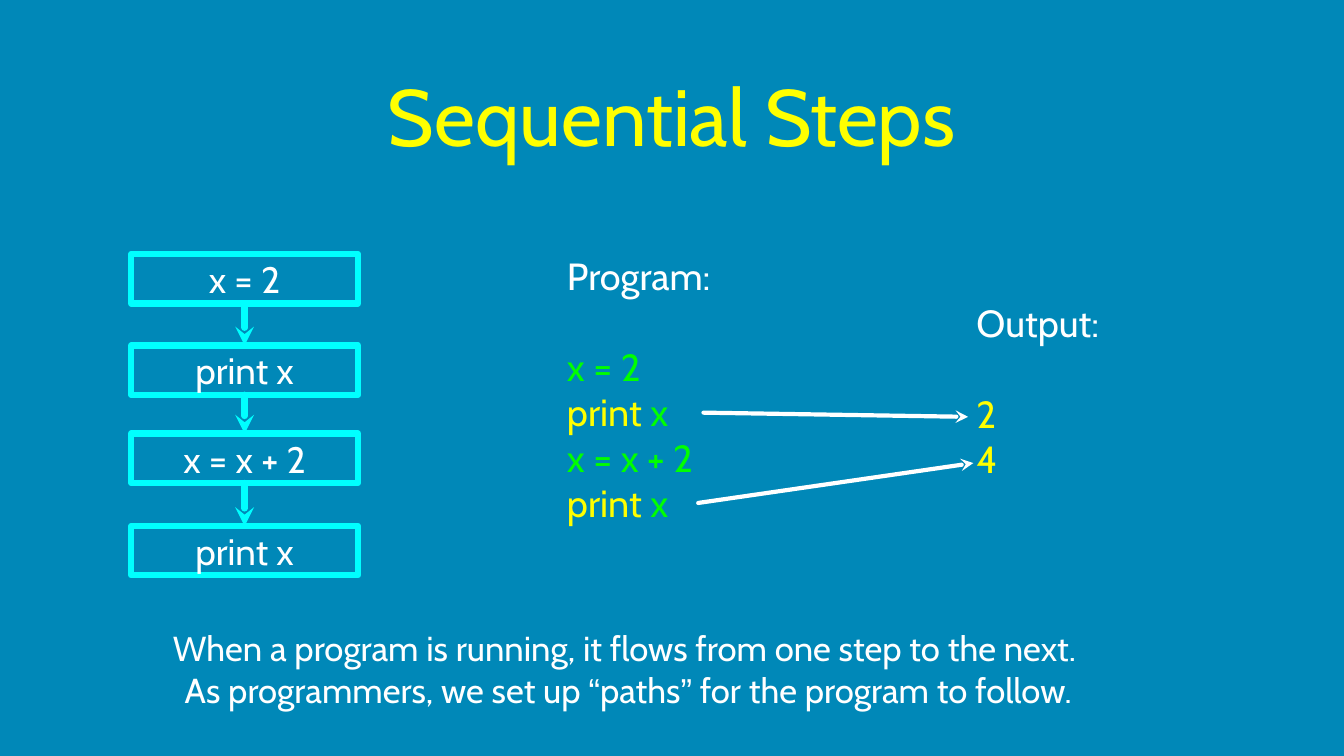
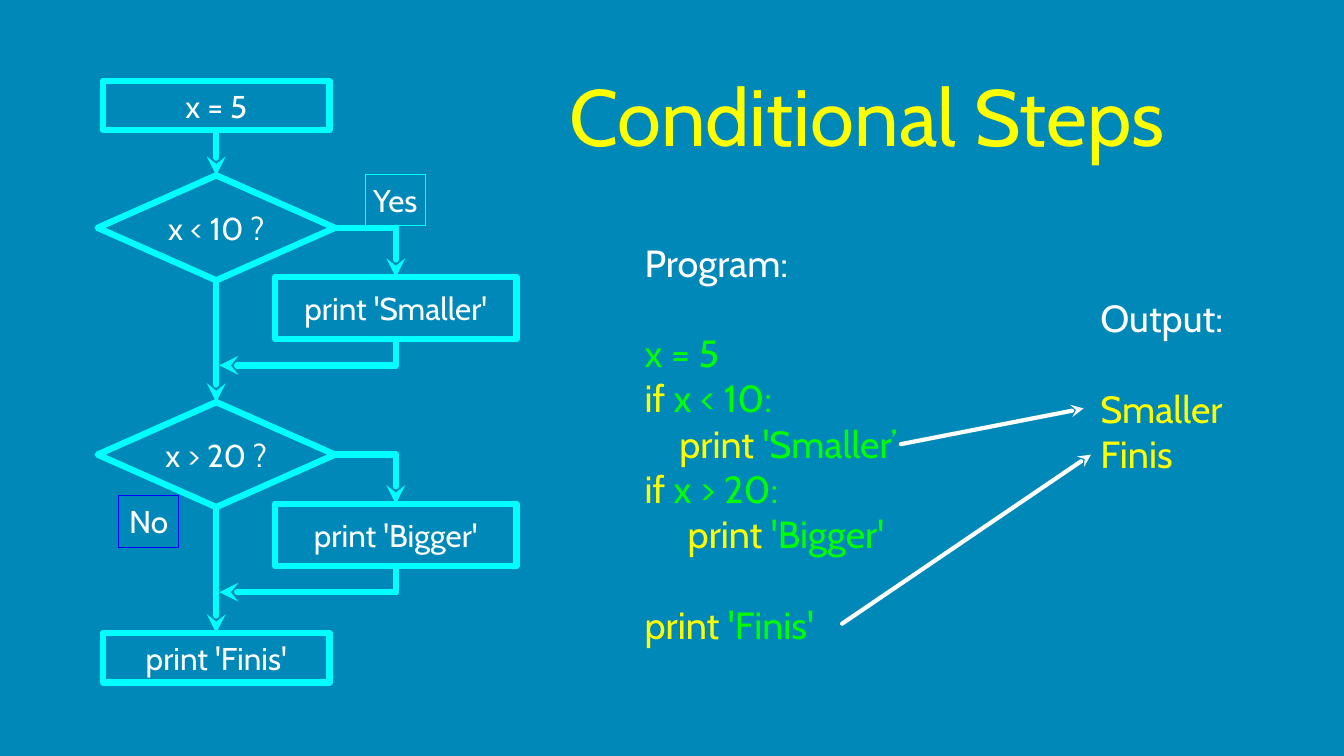
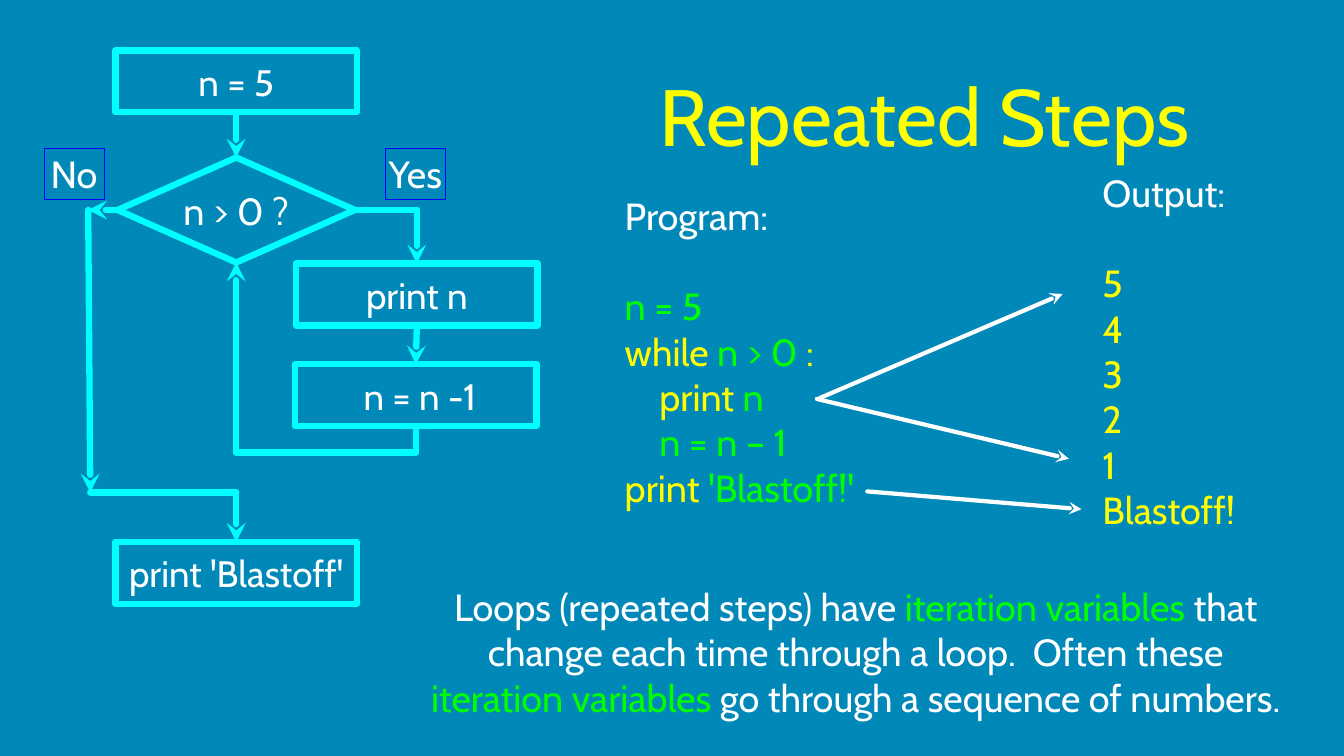
from itertools import pairwise

from lxml import etree
from pptx import Presentation
from pptx import util as u
from pptx.dml.color import RGBColor
from pptx.enum import shapes, text
from pptx.oxml import ns

BACK, CYAN, BLUE, WHITE = "0088B8", "00FFFF", "0000FF", "FFFFFF"
INK = {
    "W": (WHITE, "Cabin"),
    "Y": ("FFFF00", "Cabin"),
    "G": ("00FF00", "Cabin"),
    "Q": (WHITE, "Arial"),
}
TOP, LEFT, BOTTOM, RIGHT = range(4)
RECT, DIAMOND = shapes.MSO_SHAPE.RECTANGLE, shapes.MSO_SHAPE.DIAMOND
GAP = 43
TAB = 33


def hue(code):
    return RGBColor.from_string(code)


class Deck:
    """Holds the style and the current slide, and draws each kind of element."""

    def __init__(self):
        self.prs = Presentation()
        self.prs.slide_width, self.prs.slide_height = u.Pt(1280), u.Pt(720)
        fill = self.prs.slide_master.background.fill
        fill.solid()
        fill.fore_color.rgb = hue(BACK)

    def page(self, title, left, width):
        self.slide = self.prs.slides.add_slide(self.prs.slide_layouts[6])
        self.words([(title, "Y")], (left, 19, width, 181), 76, True)

    def ink(self, para, line, tones, size):
        for part, tone in zip(line.split("|"), tones):
            run = para.add_run()
            run.text = part
            color, run.font.name = INK[tone]
            run.font.size = u.Pt(size)
            run.font.color.rgb = hue(color)

    def frame(self, shape):
        frame = shape.text_frame
        frame.word_wrap = True
        frame.vertical_anchor = text.MSO_ANCHOR.MIDDLE
        frame.margin_left = frame.margin_right = 0
        frame.margin_top = frame.margin_bottom = 0
        return frame

    def words(self, lines, area, size=36, center=False):
        """Lines are (text, tones, indent, space before), parts split by |."""
        frame = self.frame(self.slide.shapes.add_textbox(*map(u.Pt, area)))
        for i, (line, tones, *rest) in enumerate(lines):
            para = frame.add_paragraph() if i else frame.paragraphs[0]
            indent, gap = (*rest, 0, 0)[:2]
            self.ink(para, line, tones, size)
            para.alignment = text.PP_ALIGN.CENTER if center else text.PP_ALIGN.LEFT
            para.space_before = u.Pt(gap)
            if indent:
                para._p.get_or_add_pPr().set("marL", str(u.Pt(indent)))

    def listing(self, head, lines, area):
        first, *others = lines
        self.words([(head, "W"), (*first, 0, GAP), *others], area)

    def box(self, label, area, size, kind=RECT, color=CYAN, weight=6):
        shape = self.slide.shapes.add_shape(kind, *map(u.Pt, area))
        shape.shadow.inherit = False
        shape.fill.background()
        shape.line.color.rgb = hue(color)
        shape.line.width = u.Pt(weight)
        para = self.frame(shape).paragraphs[0]
        para.alignment = text.PP_ALIGN.CENTER
        self.ink(para, label, "W", size)
        return shape

    def tag(self, label, left, top, size, color=BLUE):
        self.box(label, (left, top, 57, 49), size, color=color, weight=0.75)

    def line(self, start, end, tip, color, weight):
        """Each end is a point or a (shape, side) pair."""
        fixed = [isinstance(stop[0], (int, float)) for stop in (start, end)]
        spots = [stop if ok else (0, 0) for stop, ok in zip((start, end), fixed)]
        link = self.slide.shapes.add_connector(
            shapes.MSO_CONNECTOR.STRAIGHT, *(u.Pt(n) for spot in spots for n in spot))
        if not fixed[0]:
            link.begin_connect(*start)
        if not fixed[1]:
            link.end_connect(*end)
        link.line.color.rgb = hue(color)
        link.line.width = u.Pt(weight)
        pen = link.line._get_or_add_ln()
        pen.set("cap", "rnd")
        if tip:
            etree.SubElement(pen, ns.qn("a:tailEnd"), type="stealth")
        etree.SubElement(link._element.spPr, ns.qn("a:effectLst"))

    def flow(self, *stops, tip=True, color=CYAN, weight=6):
        legs = list(pairwise(stops))
        for i, (start, end) in enumerate(legs, 1):
            self.line(start, end, tip and i == len(legs), color, weight)

    def point(self, start, end):
        self.flow(start, end, color=WHITE, weight=4)


def steps(deck):
    deck.page("Sequential Steps", 91, 1097)
    deck.listing("Program:", [
        ("x = 2", "G"), ("print |x", "YG"), ("x = x + 2", "G"), ("print |x", "YG"),
    ], (540, 242, 171, 257))
    deck.listing("Output:", [("2", "Y"), ("4", "Y")], (930, 288, 157, 168))
    labels = ["x = 2", "print x", "x = x + 2", "print x"]
    boxes = [deck.box(label, (125, top, 216, 47), 35)
             for label, top in zip(labels, (242, 329, 413, 501))]
    for above, below in pairwise(boxes):
        deck.flow((above, BOTTOM), (below, TOP))
    deck.point((670, 393), (922, 397))
    deck.point((665, 479), (927, 441))
    deck.words([(
        "When a program is running, it flows from one step to the next.  "
        "As programmers, we set up |“|paths|”| for the program to follow.",
        "WQWQW")], (162, 595, 873, 84), 33, True)


def choice(deck):
    deck.page("Conditional Steps", 463, 725)
    deck.listing("Output:", [("Smaller", "Y"), ("Finis", "Y")], (1048, 281, 125, 172))
    deck.listing("Program:", [
        ("x = 5", "G"),
        ("if |x < 10:", "YG"),
        ("print |'Smaller’", "YG", TAB),
        ("if |x > 20:", "YG"),
        ("print |'Bigger'", "YG", 41),
        ("print |'Finis'", "YG", 0, GAP),
    ], (614, 226, 244, 392))
    last = deck.box("x = 5", (98, 77, 216, 47), 30)
    for test, act, top in (("x < 10 ?", "print 'Smaller'", 167),
                           ("x > 20 ?", "print 'Bigger'", 383)):
        gate = deck.box(test, (93, top, 226, 100), 30, DIAMOND)
        side = deck.box(act, (262, top + 97, 230, 59), 30)
        deck.flow((last, BOTTOM), (gate, TOP))
        deck.flow((gate, RIGHT), (377, top + 50), (side, TOP))
        deck.flow((side, BOTTOM), (377, top + 181), (209, top + 181))
        last = gate
    deck.flow((last, BOTTOM), (deck.box("print 'Finis'", (98, 603, 216, 47), 30), TOP))
    deck.tag("Yes", 348, 166, 30, CYAN)
    deck.tag("No", 113, 472, 30)
    deck.point((858, 423), (1032, 389))
    deck.point((802, 594), (1039, 433))


def loop(deck):
    deck.page("Repeated Steps", 573, 615)
    deck.listing("Output:", [(item, "Y") for item in (*"54321", "Blastoff!")],
                 (1050, 166, 157, 336))
    deck.listing("Program:", [
        ("n = 5", "G"),
        ("while| n > 0| :", "YGY"),
        ("print |n", "YG", TAB),
        ("n = n – 1", "G", TAB),
        ("print |'Blastoff!'", "YG"),
    ], (595, 182, 289, 305))
    start = deck.box("n = 5", (110, 48, 230, 59), 35)
    gate = deck.box("n > 0 ?", (112, 150, 226, 100), 36, DIAMOND)
    show = deck.box("print n", (282, 251, 230, 59), 35)
    less = deck.box(" n = n -1", (281, 347, 230, 59), 35)
    done = deck.box("print 'Blastoff'", (110, 516, 230, 59), 35)
    deck.flow((start, BOTTOM), (gate, TOP))
    deck.flow((gate, RIGHT), (397, 200), (show, TOP))
    deck.flow((show, BOTTOM), (less, TOP))
    deck.flow((less, BOTTOM), (396, 431), (225, 431), (gate, BOTTOM))
    deck.flow((gate, LEFT), (84, 200))
    deck.flow((84, 200), (86, 469))
    deck.flow((86, 469), (225, 469), (done, TOP))
    deck.tag("No", 42, 141, 36)
    deck.tag("Yes", 367, 141, 36)
    for begin, end in (((781, 379), (1012, 280)), ((778, 380), (1018, 437)),
                       ((826, 468), (1030, 485))):
        deck.point(begin, end)
    deck.words([(
        "Loops (repeated steps) have |iteration variables |that change each time "
        "through a loop.  Often these |iteration variables| go through a sequence "
        "of numbers.", "WGWGW")], (398, 555, 834, 131), 36, True)


def main():
    deck = Deck()
    for build in (steps, choice, loop):
        build(deck)
    deck.prs.save("out.pptx")


if __name__ == "__main__":
    main()
